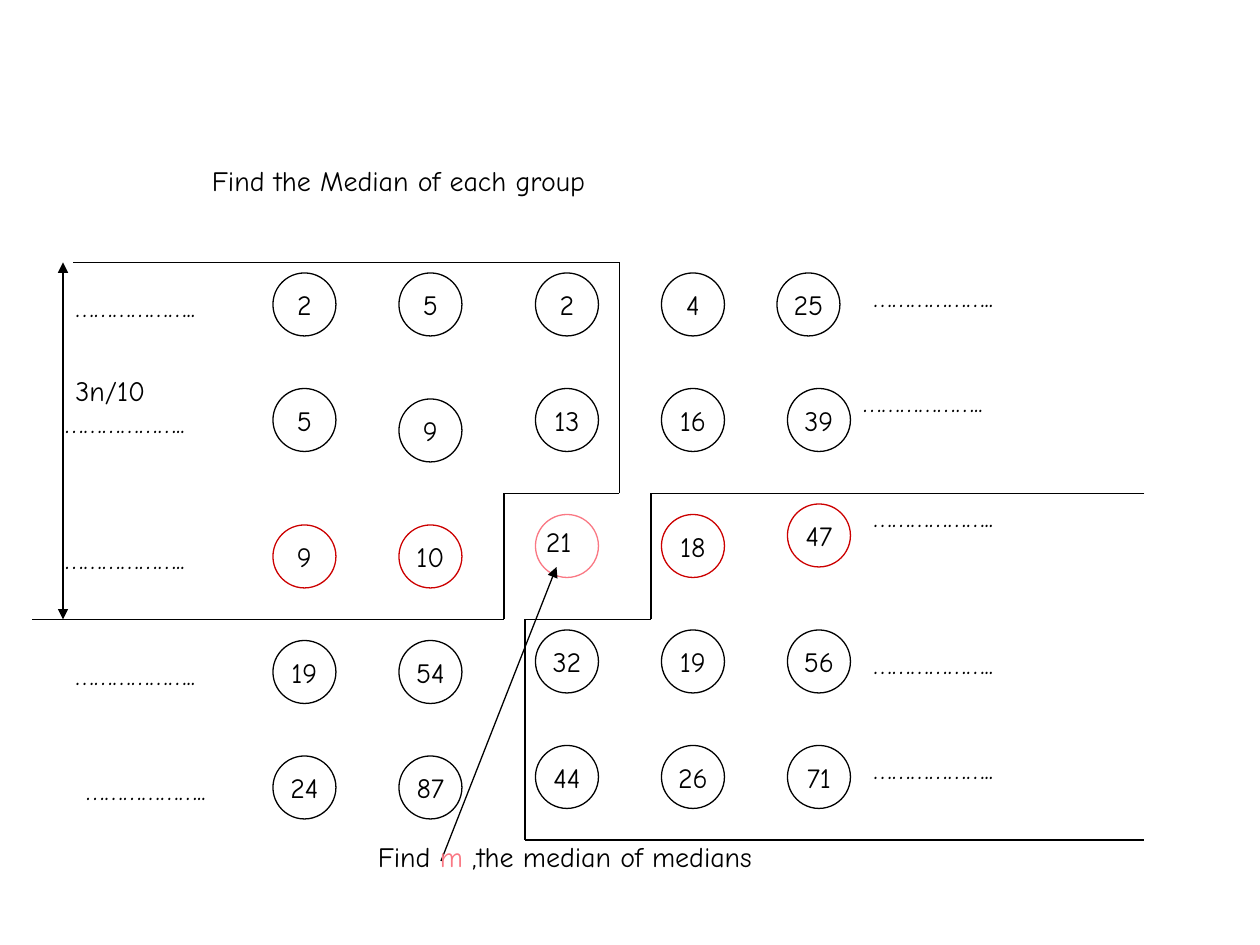
import itertools
from dataclasses import dataclass

import pptx
import pptx.dml.color
import pptx.enum.shapes
import pptx.enum.text
import pptx.oxml.ns
import pptx.util
from lxml import etree

# Grid: 12 units to the inch
UNIT = 12
FONT = "Comic Neue"
BLACK, WHITE, RED, PINK = "000000", "FFFFFF", "CC0000", "FA7884"
BALL = 6
MID = 2  # row that holds the group medians
DOTS = "……………….."


@dataclass
class Group:
    col: float
    rows: list[float]
    nums: list[str]


@dataclass
class Label:
    col: float
    row: float
    wide: float
    runs: list[tuple[str, str]]
    wrap: bool = True
    high: float = 4.8


GROUPS = [
    Group(26, [26, 37, 50, 61, 72], ["2", "5", "9", "19", "24"]),
    Group(38, [26, 38, 50, 61, 72], ["5", "9", "10", "54", "87"]),
    Group(51, [26, 37, 49, 60, 71], ["2", "13", "", "32", "44"]),
    Group(63, [26, 37, 49, 60, 71], ["4", "16", "18", "19", "26"]),
    Group(75, [26, 37, 48, 60, 71], ["25", "39", "47", "56", "71"]),
]
SHIFT = {"25": -1}  # ball set one unit left of its column
GAPS = [(6, 27), (5, 38), (5, 51), (6, 62), (7, 73),
        (82, 26), (81, 36), (82, 47), (82, 61), (82, 71)]
FENCES = [
    [(7, 25), (59, 25), (59, 47), (48, 47), (48, 59), (3, 59)],
    [(109, 47), (62, 47), (62, 59), (50, 59), (50, 80), (109, 80)],
]
LABELS = [Label(col, row, 19, [(DOTS, BLACK)]) for col, row in GAPS] + [
    Label(19, 15, 74, [("Find the Median of each group", BLACK)]),
    Label(34.8, 79.4, 43.7, [("Find ", BLACK), ("m", PINK),
                             (" ,the median of medians", BLACK)], False),
    Label(50.8, 49.4, 5.8, [("21", BLACK)], False),
    Label(6, 35, 12, [("3n/10", BLACK)], True, 4.4),
]


def size(units: float) -> pptx.util.Length:
    return pptx.util.Inches(units / UNIT)


def paint(part, tone: str) -> None:
    """Set a fill or a font colour; part offers solid() and a fore colour."""
    part.solid()
    part.fore_color.rgb = pptx.dml.color.RGBColor.from_string(tone)


def write(frame, runs: list[tuple[str, str]]) -> None:
    for text, tone in runs:
        run = frame.paragraphs[0].add_run()
        run.text = text
        run.font.name = FONT
        run.font.size = pptx.util.Pt(16)
        paint(run.font.fill, tone)


def ring(line, tone: str) -> None:
    paint(line.fill, tone)
    line.width = pptx.util.Pt(0.75)


def add_ball(slide, col: float, row: float, num: str, tone: str) -> None:
    ball = slide.shapes.add_shape(
        pptx.enum.shapes.MSO_SHAPE.OVAL,
        size(col), size(row), size(BALL), size(BALL))
    ball.shadow.inherit = False
    paint(ball.fill, WHITE)
    ring(ball.line, tone)
    frame = ball.text_frame
    frame.word_wrap = False
    frame.vertical_anchor = pptx.enum.text.MSO_ANCHOR.MIDDLE
    frame.paragraphs[0].alignment = pptx.enum.text.PP_ALIGN.CENTER
    if num:
        write(frame, [(num, BLACK)])


def add_label(slide, label: Label) -> None:
    box = slide.shapes.add_textbox(
        size(label.col), size(label.row), size(label.wide), size(label.high))
    box.text_frame.word_wrap = label.wrap
    write(box.text_frame, label.runs)


def add_line(slide, start: tuple, end: tuple, *tips: str) -> None:
    line = slide.shapes.add_connector(
        pptx.enum.shapes.MSO_CONNECTOR.STRAIGHT,
        *(size(n) for n in (*start, *end)))
    ring(line.line, BLACK)
    props = line.element.spPr
    etree.SubElement(props, pptx.oxml.ns.qn("a:effectLst"))
    stroke = props.find(pptx.oxml.ns.qn("a:ln"))
    for tip in tips:
        etree.SubElement(stroke, pptx.oxml.ns.qn(tip), type="triangle")


deck = pptx.Presentation()
deck.slide_width, deck.slide_height = size(120), size(90)
slide = deck.slides.add_slide(deck.slide_layouts[6])

# Groups of five, one per column
for group in GROUPS:
    for rank, (row, num) in enumerate(zip(group.rows, group.nums)):
        tone = (RED if num else PINK) if rank == MID else BLACK
        add_ball(slide, group.col + SHIFT.get(num, 0), row, num, tone)

# Fences around the smaller and the larger part
for fence in FENCES:
    for start, end in itertools.pairwise(fence):
        add_line(slide, start, end)

# Arrows: pointer to the median of medians, height of the part
add_line(slide, (53, 54), (42, 82), "a:headEnd")
add_line(slide, (6, 25), (6, 59), "a:headEnd", "a:tailEnd")

# Words and dotted gaps
for label in LABELS:
    add_label(slide, label)

deck.save("out.pptx")
